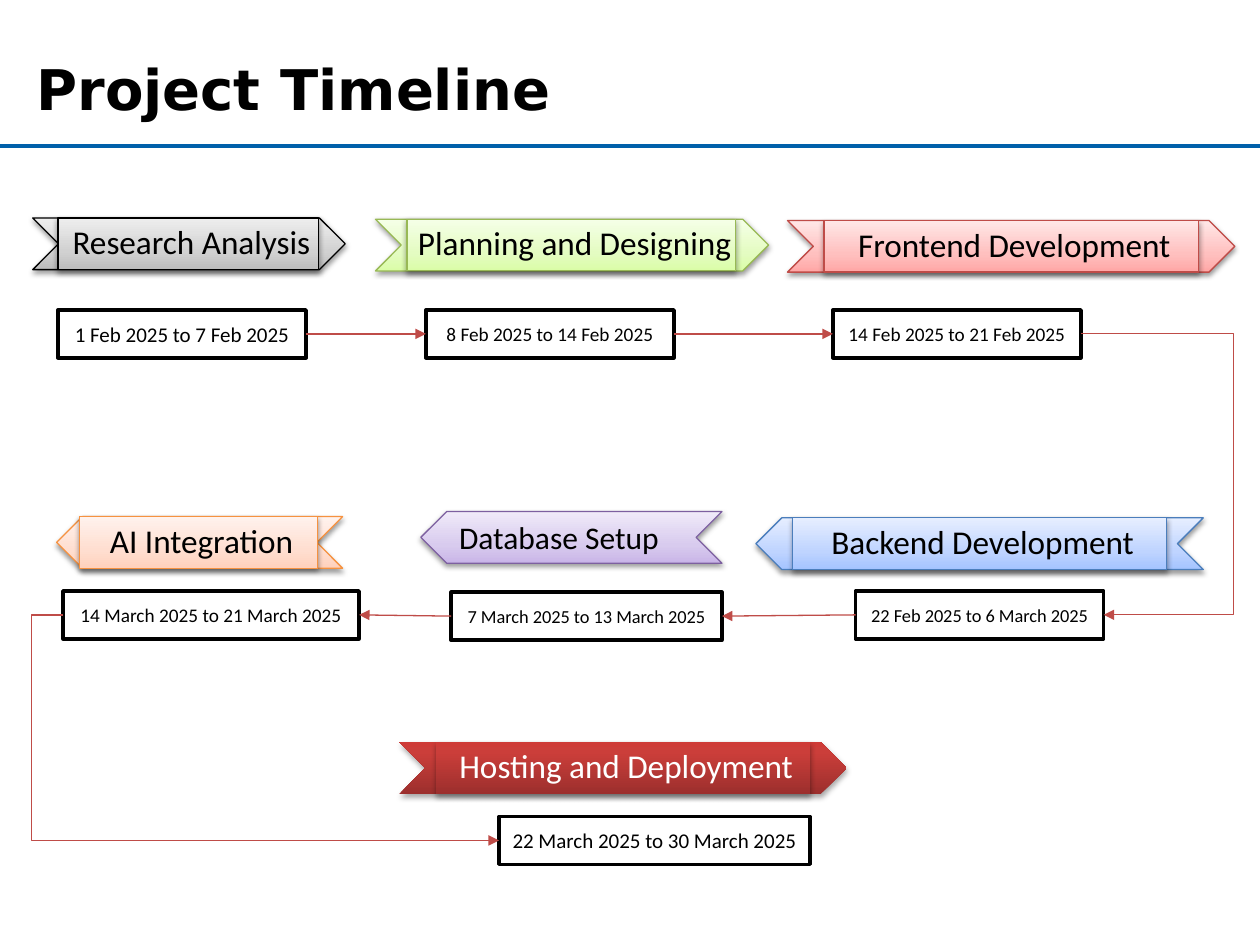
from lxml import etree
from pptx import Presentation
from pptx.dml.color import RGBColor
from pptx.enum.shapes import MSO_CONNECTOR, MSO_SHAPE
from pptx.enum.text import MSO_ANCHOR, MSO_AUTO_SIZE, PP_ALIGN
from pptx.oxml.ns import qn
from pptx.util import Inches, Pt

CHEVRON, RECT = MSO_SHAPE.CHEVRON, MSO_SHAPE.RECTANGLE
STRAIGHT, ELBOW = MSO_CONNECTOR.STRAIGHT, MSO_CONNECTOR.ELBOW
LEFT, CENTER = PP_ALIGN.LEFT, PP_ALIGN.CENTER
TOP, MIDDLE = MSO_ANCHOR.TOP, MSO_ANCHOR.MIDDLE
LEFT_SIDE, RIGHT_SIDE = 1, 3

COLORS = {"black": "000000", "white": "FFFFFF", "rule": "0060AA", "arrow": "BF4C48"}
PALETTES = {
    "gray": (("BDBDBD", "D1D1D1", "EEEEEE"), "000000"),
    "green": (("DAFDA7", "E4FCC2", "F5FFE7"), "98B955"),
    "pink": (("FFA6A5", "FFC0BF", "FFE7E7"), "BF4C48"),
    "blue": (("A4C4FF", "BFD4FF", "E6EEFF"), "4B7EBC"),
    "purple": (("C9B5E8", "D8CBEE", "F0EAF9"), "7D60A0"),
    "orange": (("FFD2BD", "FFDED0", "FFF2ED"), "F69240"),
    "red": (("9C2F2D", "CB3E3A", "CE3B37"), None),
}
RIBBON_H, BOX_H = 0.41, 0.38
RIBBON_INSETS = {"margin_left": Inches(0.08), "margin_right": Inches(0.03),
                 "margin_top": Inches(0.03), "margin_bottom": Inches(0.03)}

# label, palette, top, chevron left and width, panel left and width, flipped
RIBBONS = [
    ("Research Analysis", "gray", 1.73, 0.26, 2.48, 0.46, 2.07, False),
    ("Planning and Designing", "green", 1.74, 2.98, 3.12, 3.23, 2.61, False),
    ("Frontend Development", "pink", 1.75, 6.25, 3.55, 6.54, 2.97, False),
    ("Backend Development", "blue", 4.11, 6, 3.55, 6.29, 2.97, True),
    ("AI Integration", "orange", 4.1, 0.45, 2.27, 0.63, 1.89, True),
    ("Hosting and Deployment", "red", 5.89, 3.17, 3.55, 3.46, 2.97, False),
]
# label, left, top, width, text size, in order of time
DATES = [
    ("1 Feb 2025 to 7 Feb 2025", 0.46, 2.46, 1.97, 12),
    ("8 Feb 2025 to 14 Feb 2025", 3.38, 2.46, 1.97, 11),
    ("14 Feb 2025 to 21 Feb 2025", 6.61, 2.46, 1.97, 11),
    ("22 Feb 2025 to 6 March 2025", 6.79, 4.69, 1.97, 10.5),
    ("7 March 2025 to 13 March 2025", 3.58, 4.7, 2.15, 10.5),
    ("14 March 2025 to 21 March 2025", 0.5, 4.69, 2.35, 11),
    ("22 March 2025 to 30 March 2025", 3.96, 6.48, 2.47, 12),
]


def rgb(name):
    """Return the colour for a name or a hex string."""
    return RGBColor.from_string(COLORS.get(name, name))


def write(sp, text, size, color="black", align=CENTER, font="Calibri", bold=False,
          spacing=None, **frame):
    """Put one formatted line of text in a shape."""
    tf = sp.text_frame
    for name, value in {"word_wrap": True, "vertical_anchor": MIDDLE, **frame}.items():
        setattr(tf, name, value)
    p = tf.paragraphs[0]
    p.alignment, p.line_spacing = align, spacing
    r = p.add_run()
    r.text = text
    for name, value in {"size": Pt(size), "name": font, "bold": bold}.items():
        setattr(r.font, name, value)
    r.font.color.rgb = rgb(color)


def add_title(slide, text):
    """Place the title and the rule under it."""
    sp = slide.shapes.title
    for name, value in {"left": 0.19, "top": 0.38, "width": 9.06, "height": 0.64}.items():
        setattr(sp, name, Inches(value))
    write(sp, text, 32, align=LEFT, font="DejaVu Sans", bold=True,
          auto_size=MSO_AUTO_SIZE.SHAPE_TO_FIT_TEXT)
    add_line(slide, STRAIGHT, (0, 1.16), (10.04, 1.16), "rule", 2)


def add_glossy(shapes, kind, x, y, w, palette, flipped=False):
    """Add a shape with a gradient, an outline and a soft shadow."""
    stops, outline = PALETTES[palette]
    sp = shapes.add_shape(kind, Inches(x), Inches(y), Inches(w), Inches(RIBBON_H))
    sp.fill.gradient()
    sp.fill.gradient_angle = 90
    props = sp._element.spPr
    if flipped:
        props.find(qn("a:xfrm")).set("flipH", "1")
    stop_list = next(props.iter(qn("a:gsLst")))
    for old in list(stop_list):
        stop_list.remove(old)
    for pos, color in zip((0, 35 if outline else 80, 100), stops):
        gs = etree.SubElement(stop_list, qn("a:gs"), pos=str(pos * 1000))
        etree.SubElement(gs, qn("a:srgbClr"), val=color)
    if outline:
        sp.line.color.rgb = rgb(outline)
        sp.line.width = Pt(0.75)
    else:
        sp.line.fill.background()
    sp.shadow.inherit = False
    shadow = etree.SubElement(props.find(qn("a:effectLst")), qn("a:outerShdw"),
                              blurRad=str(Pt(3.1)), dist=str(Pt(1.6 if outline else 1.8)),
                              dir="5400000", rotWithShape="0")
    color = etree.SubElement(shadow, qn("a:srgbClr"), val=COLORS["black"])
    etree.SubElement(color, qn("a:alpha"), val="38000" if outline else "35000")
    return sp


def add_ribbon(slide, text, palette, y, x, w, panel_x, panel_w, flipped):
    """Add a chevron with a text panel over it as one group."""
    shapes = slide.shapes.add_group_shape().shapes
    add_glossy(shapes, CHEVRON, x, y, w, palette, flipped)
    sp = add_glossy(shapes, RECT, panel_x, y, panel_w, palette, flipped)
    write(sp, text, 19, "white" if palette == "red" else "black", spacing=0.9,
          **RIBBON_INSETS)


def add_date(slide, text, x, y, w, size):
    """Add an outlined date box."""
    sp = slide.shapes.add_shape(RECT, Inches(x), Inches(y), Inches(w), Inches(BOX_H))
    sp.shadow.inherit = False
    sp.fill.solid()
    sp.fill.fore_color.rgb = rgb("white")
    sp.line.color.rgb = rgb("black")
    sp.line.width = Pt(2)
    write(sp, text, size)
    return sp


def add_line(slide, kind, start, end, color, width, arrow=False):
    """Add a connector without a shadow, with an arrowhead on request."""
    s = slide.shapes.add_connector(kind, *map(Inches, start + end))
    s.line.color.rgb = rgb(color)
    s.line.width = Pt(width)
    if arrow:
        etree.SubElement(s.line._get_or_add_ln(), qn("a:tailEnd"), type="triangle")
    etree.SubElement(s._element.spPr, qn("a:effectLst"))
    return s


def add_arrow(slide, a, b, side_a, side_b):
    """Join the sides of two date boxes with a straight arrow."""
    s = add_line(slide, STRAIGHT, (0, 0), (1, 1), "arrow", 0.75, True)
    s.begin_connect(a, side_a)
    s.end_connect(b, side_b)


def add_turn(slide, start, end, turn_x):
    """Add an elbow arrow whose vertical part stands at turn_x."""
    s = add_line(slide, ELBOW, start, end, "arrow", 0.75, True)
    ratio = (turn_x - start[0]) / (end[0] - start[0])
    guides = s._element.spPr.find(qn("a:prstGeom")).find(qn("a:avLst"))
    etree.SubElement(guides, qn("a:gd"), name="adj1", fmla=f"val {round(ratio * 100000)}")


def main():
    """Build the timeline slide."""
    prs = Presentation()
    prs.slide_width, prs.slide_height = Inches(10), Inches(7.5)
    slide = prs.slides.add_slide(prs.slide_layouts[5])
    add_title(slide, "Project Timeline")
    for ribbon in RIBBONS:
        add_ribbon(slide, *ribbon)
    sp = add_glossy(slide.shapes, CHEVRON, 3.34, 4.06, 2.39, "purple", True)
    write(sp, "Database Setup", 18, align=LEFT, vertical_anchor=TOP)
    boxes = [add_date(slide, *date) for date in DATES]
    for i in (0, 1):
        add_arrow(slide, boxes[i], boxes[i + 1], RIGHT_SIDE, LEFT_SIDE)
    for i in (3, 4):
        add_arrow(slide, boxes[i], boxes[i + 1], LEFT_SIDE, RIGHT_SIDE)
    add_turn(slide, (8.58, 2.65), (8.76, 4.88), 9.79)
    add_turn(slide, (0.5, 4.88), (3.96, 6.67), 0.25)
    prs.save("out.pptx")


if __name__ == "__main__":
    main()
